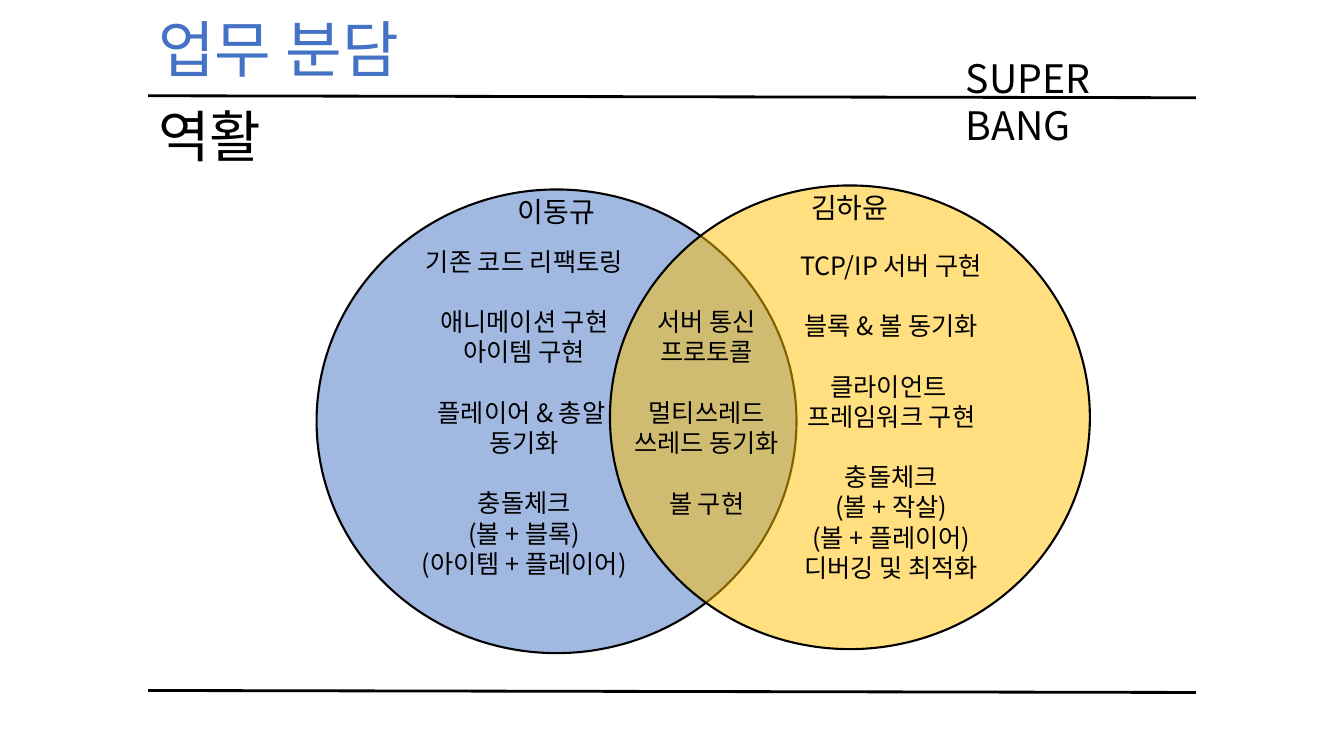
from lxml import etree
from pptx import Presentation
from pptx.dml.color import RGBColor
from pptx.enum import shapes, text
from pptx.oxml import ns
from pptx.util import Inches, Pt

FONT = "Noto Sans CJK KR"
BLACK = RGBColor(0x00, 0x00, 0x00)
BLUE = RGBColor(0x44, 0x72, 0xC4)
GOLD = RGBColor(0xFF, 0xC0, 0x00)

TITLE = ("업무 분담", (1.47, 0.06, 2.88, 0.84))
HEADINGS = [
    ("역활", (1.47, 0.96, 1.32, 0.77), 40),
    ("SUPER BANG", (9.48, 0.49, 2.35, 0.57), 28),
]
RULE_TOPS = [0.95, 6.85]
RULE_LEFT, RULE_RIGHT, RULE_DROP = 1.47, 11.86, 0.02
CIRCLE_WIDTH, CIRCLE_HEIGHT = 4.76, 4.6
NAME_OFFSET, NAME_WIDTH, NAME_HEIGHT = 1.86, 1.04, 0.44
MEMBERS = [
    ("이동규", 3.14, 1.88, BLUE),
    ("김하윤", 6.05, 1.84, GOLD),
]
TASKS = [
    ((3.93, 2.39, 2.54, 3.43), [
        ["기존 코드 리팩토링"],
        ["애니메이션 구현", "아이템 구현"],
        ["플레이어 & 총알 ", "동기화"],
        ["충돌체크", "(볼 + 블록)", "(아이템 + 플레이어)"],
    ]),
    ((7.68, 2.43, 2.32, 3.43), [
        ["TCP/IP 서버 구현"],
        ["블록 & 볼 동기화"],
        ["클라이언트 ", "프레임워크 구현"],
        ["충돌체크", "(볼 + 작살)", "(볼 + 플레이어)", "디버깅 및 최적화"],
    ]),
    ((6.11, 2.99, 1.8, 2.22), [
        ["서버 통신", "프로토콜"],
        ["멀티쓰레드", "쓰레드 동기화"],
        ["볼 구현"],
    ]),
]
TASK_SIZE = 18
GROUP_GAP = TASK_SIZE * 1.2


def write(box, groups, size, color=BLACK, align=text.PP_ALIGN.LEFT, wrap=True):
    frame = box.text_frame
    frame.word_wrap = wrap
    frame.auto_size = text.MSO_AUTO_SIZE.NONE
    frame.vertical_anchor = text.MSO_ANCHOR.TOP
    lines = [(line, group > 0 and row == 0)
             for group, rows in enumerate(groups) for row, line in enumerate(rows)]
    for index, (line, starts_group) in enumerate(lines):
        para = frame.add_paragraph() if index else frame.paragraphs[0]
        para.alignment = align
        para.line_spacing = 1.0
        para.space_before = Pt(GROUP_GAP if starts_group else 0)
        span = para.add_run()
        span.text = line
        span.font.size = Pt(size)
        span.font.name = FONT
        span.font.color.rgb = color
        east_asian = etree.SubElement(span.font._element, ns.qn("a:ea"))
        east_asian.set("typeface", FONT)


def add_text(page, area, groups, size, **style):
    box = page.shapes.add_textbox(*map(Inches, area))
    write(box, groups, size, **style)


def add_rule(page, top):
    rule = page.shapes.add_connector(
        shapes.MSO_CONNECTOR.STRAIGHT, Inches(RULE_LEFT), Inches(top),
        Inches(RULE_RIGHT), Inches(top + RULE_DROP))
    rule.line.color.rgb = BLACK
    rule.line.width = Pt(2)
    etree.SubElement(rule._element.spPr, ns.qn("a:effectLst"))


def add_circle(page, left, top, color):
    circle = page.shapes.add_shape(
        shapes.MSO_SHAPE.OVAL, Inches(left), Inches(top),
        Inches(CIRCLE_WIDTH), Inches(CIRCLE_HEIGHT))
    circle.shadow.inherit = False
    circle.fill.solid()
    circle.fill.fore_color.rgb = color
    fill_color = circle._element.spPr.find(".//" + ns.qn("a:srgbClr"))
    etree.SubElement(fill_color, ns.qn("a:alpha")).set("val", "50000")
    circle.line.color.rgb = BLACK
    circle.line.width = Pt(1.5)


def main():
    deck = Presentation()
    deck.slide_width, deck.slide_height = Inches(13.33), Inches(7.5)
    page = deck.slides.add_slide(deck.slide_layouts[5])

    title, area = TITLE
    box = page.shapes.title
    box.left, box.top, box.width, box.height = map(Inches, area)
    write(box, [[title]], 44, color=BLUE)

    for top in RULE_TOPS:
        add_rule(page, top)
    for heading, area, size in HEADINGS:
        add_text(page, area, [[heading]], size)

    centred = {"align": text.PP_ALIGN.CENTER, "wrap": False}
    for name, left, top, color in MEMBERS:
        add_circle(page, left, top, color)
        area = (left + NAME_OFFSET, top, NAME_WIDTH, NAME_HEIGHT)
        add_text(page, area, [[name]], 20, **centred)
    for area, groups in TASKS:
        add_text(page, area, groups, TASK_SIZE, **centred)

    deck.save("out.pptx")


if __name__ == "__main__":
    main()
